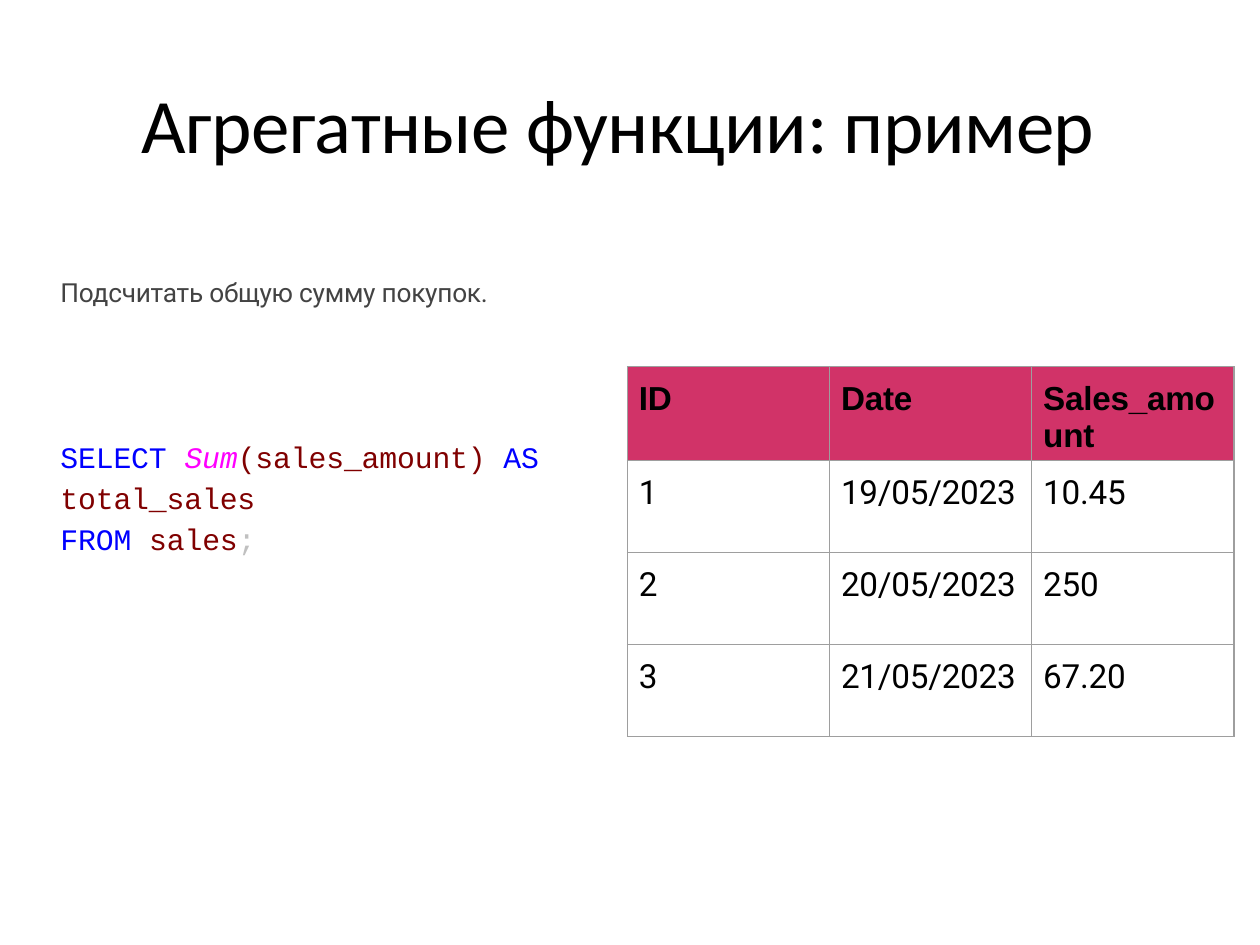
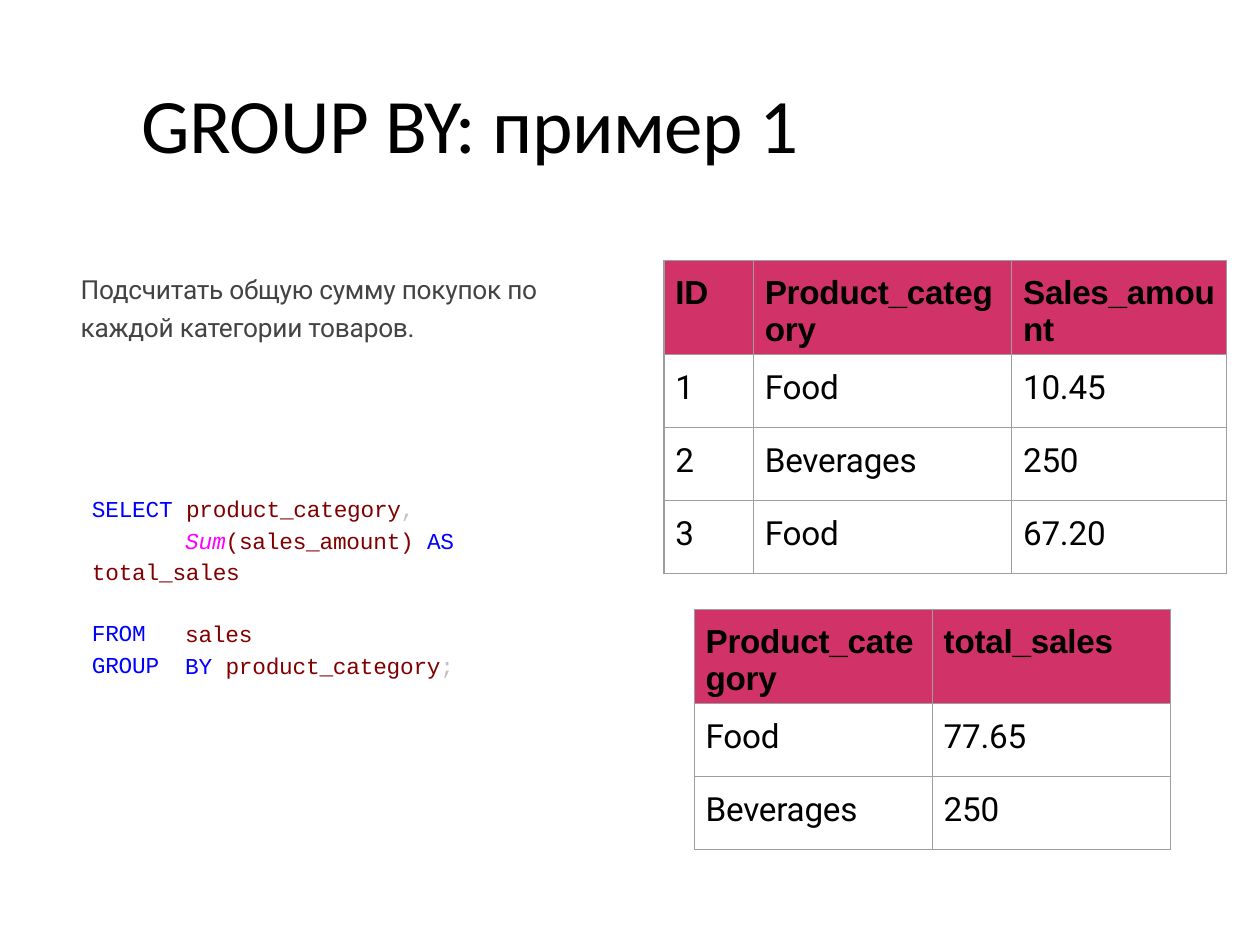
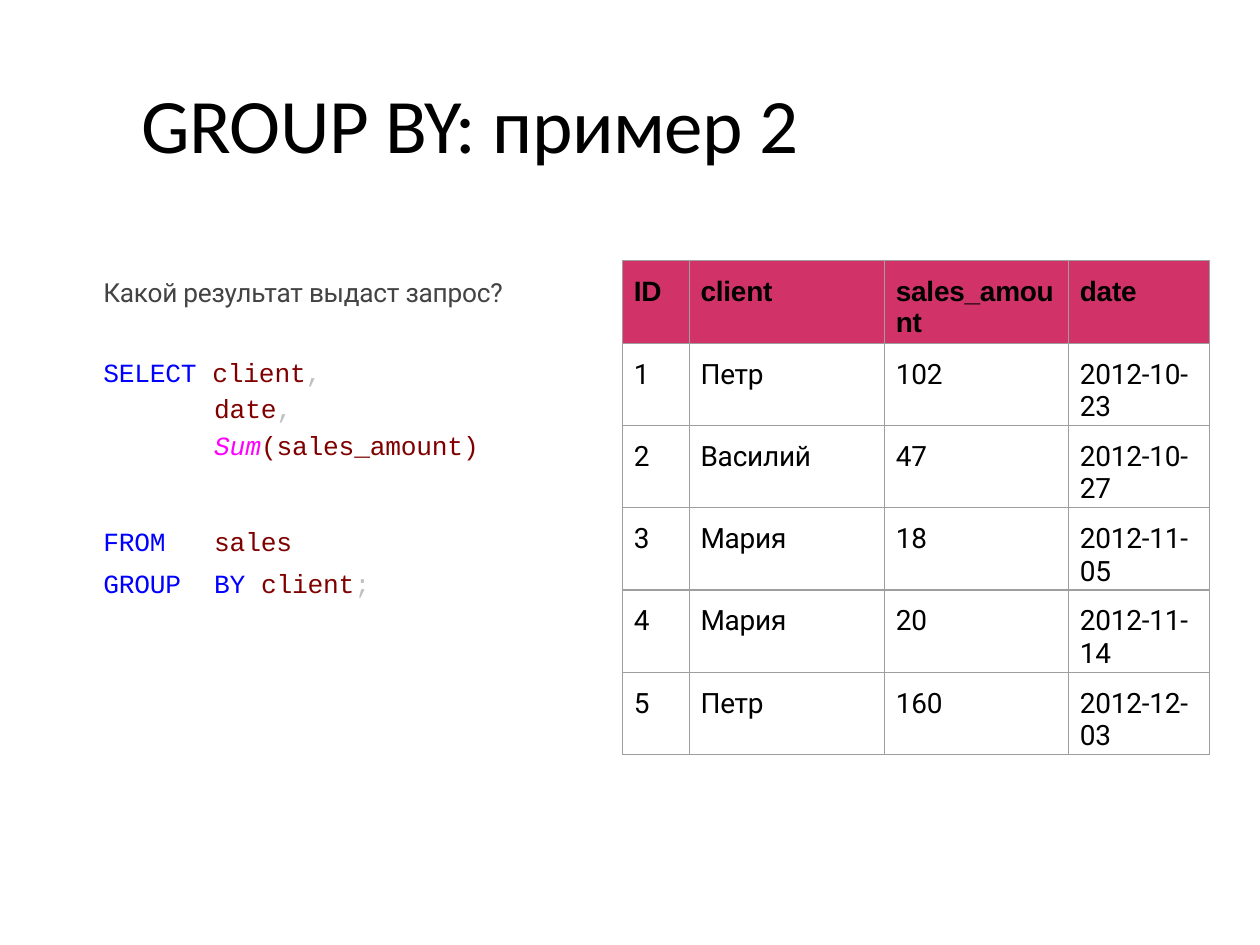
from pptx import Presentation
from pptx.dml.color import RGBColor
from pptx.enum.text import MSO_ANCHOR, MSO_AUTO_SIZE, PP_ALIGN
from pptx.oxml import parse_xml
from pptx.oxml.ns import nsdecls
from pptx.util import Emu, Inches, Pt

LEFT, MID, FIT = PP_ALIGN.LEFT, MSO_ANCHOR.MIDDLE, MSO_AUTO_SIZE.SHAPE_TO_FIT_TEXT
TITLE_ONLY = 5
COLS, ROWS = 100, 75
EDGE, HEAD = "9E9E9E", "D13368"


def ink(code):
    return RGBColor.from_string(code)


def look(font, color, gap=-0.1, **more):
    return {"name": font, "color": color, "gap": gap, **more}


# Text styles
TITLE = look("Calibri", "000000", -0.3, size=Pt(44))
NOTE = look("Roboto", "434343", -0.15)
KEY = look("Courier New", "0000FF")
FUNC = look("Courier New", "FF00FF", italic=True)
NAME = look("Courier New", "800000")
MARK = look("Courier New", "C0C0C0")
TOP = look("Arial", "000000", bold=True)
BODY = look("Roboto", "000000", bold=False)


class Deck:
    def __init__(self):
        self.prs = Presentation()
        self.prs.slide_width, self.prs.slide_height = Inches(10), Inches(7.5)
        self.slide = None

    def x(self, cols):
        return Emu(round(self.prs.slide_width * cols / COLS))

    def y(self, rows):
        return Emu(round(self.prs.slide_height * rows / ROWS))

    def box(self, left, top, wide, high):
        return self.x(left), self.y(top), self.x(wide), self.y(high)

    def frame(self, frame, top):
        form = {"margin_left": 0, "margin_top": Inches(top), "margin_right": 0,
                "margin_bottom": 0, "word_wrap": True}
        for key, val in form.items():
            setattr(frame, key, val)

    def para(self, para, runs, size=None, pad=0.01, first=0, before=1, line=None):
        form = {"alignment": LEFT, "space_before": Pt(before), "line_spacing": line}
        for key, val in form.items():
            setattr(para, key, val)
        props = para._p.get_or_add_pPr()
        props.set("marL", str(Inches(pad)))
        props.set("indent", str(Inches(first)))
        for style, text in runs:
            run = para.add_run()
            run.text = text
            form = dict(style)
            run.font.color.rgb = ink(form.pop("color"))
            run._r.get_or_add_rPr().set("spc", str(round(form.pop("gap") * 100)))
            if size:
                form["size"] = Pt(size)
            for key, val in form.items():
                setattr(run.font, key, val)

    def page(self, title):
        self.slide = self.prs.slides.add_slide(self.prs.slide_layouts[TITLE_ONLY])
        head = self.slide.shapes.title
        head.left, head.top, head.width, head.height = self.box(6.9, 4, 86.2, 9.4)
        frame = head.text_frame
        self.frame(frame, 0.2)
        frame.vertical_anchor, frame.auto_size = MID, FIT
        self.para(frame.paragraphs[0], [(TITLE, title)], pad=0.43)

    def text(self, area, size, paras, top=0.01):
        """Each item of paras is a list of runs and a dict of paragraph options."""
        frame = self.slide.shapes.add_textbox(*self.box(*area)).text_frame
        self.frame(frame, top)
        frame.auto_size = FIT
        for i, (runs, form) in enumerate(paras):
            para = frame.add_paragraph() if i else frame.paragraphs[0]
            self.para(para, runs, size, **form)

    def table(self, left, top, cols, rows, data, size=19, inset=0.11):
        area = self.box(left, top, sum(cols), sum(rows))
        grid = self.slide.shapes.add_table(len(rows), len(cols), *area).table
        grid.first_row = grid.horz_banding = False
        for col, wide in zip(grid.columns, cols):
            col.width = self.x(wide)
        for r, (row, high) in enumerate(zip(grid.rows, rows)):
            row.height = self.y(high)
            for cell, text in zip(row.cells, data[r]):
                self.cell(cell, text, r == 0, size, inset)

    def cell(self, cell, text, head, size, inset):
        cell.margin_left = cell.margin_right = cell.margin_bottom = 0
        cell.margin_top = Inches(inset)
        self.para(cell.text_frame.paragraphs[0], [(TOP if head else BODY, text)],
                  size, pad=0.09, before=6.2)
        props = cell._tc.get_or_add_tcPr()
        for side in "LRTB":
            props.append(parse_xml(
                f'<a:ln{side} {nsdecls("a")} w="{Pt(0.75)}"><a:solidFill>'
                f'<a:srgbClr val="{EDGE}"/></a:solidFill></a:ln{side}>'))
        if head:
            cell.fill.solid()
            cell.fill.fore_color.rgb = ink(HEAD)
        else:
            cell.fill.background()


def total(deck):
    deck.page("Агрегатные функции: пример")
    deck.text((4.7, 21.8, 34.8, 2.7), 15,
              [([(NOTE, "Подсчитать общую сумму покупок.")], {})])
    deck.text((4.7, 34.3, 38.5, 10), 17, [
        ([(KEY, "SELECT "), (FUNC, "Sum"), (NAME, "(sales_amount) "), (KEY, "AS "),
          (NAME, "total_sales")], {"line": 1.15}),
        ([(KEY, "FROM "), (NAME, "sales"), (MARK, ";")], {"before": 3})])
    deck.table(49.8, 29.1, [16.05] * 3, [7.3] * 4, [
        ("ID", "Date", "Sales_amount"),
        ("1", "19/05/2023", "10.45"),
        ("2", "20/05/2023", "250"),
        ("3", "21/05/2023", "67.20")])


def group(deck):
    deck.page("GROUP BY: пример 1")
    deck.text((6.3, 21.1, 37.1, 6.2), 15, [
        ([(NOTE, "Подсчитать общую сумму покупок по каждой категории товаров.")],
         {"line": 1.2})])
    deck.table(52.7, 20.7, [7.1, 20.5, 17.05], [6.4] + [5.8] * 3, [
        ("ID", "Product_category", "Sales_amount"),
        ("1", "Food", "10.45"),
        ("2", "Beverages", "250"),
        ("3", "Food", "67.20")])
    # Query
    deck.text((7.2, 38.8, 29.1, 7.7), 13, [
        ([(KEY, "SELECT "), (NAME, "product_category"), (MARK, ",")], {"before": 3.3}),
        ([(FUNC, "Sum"), (NAME, "(sales_amount) "), (KEY, "AS "),
          (NAME, "total_sales")], {"first": 0.74, "before": 0, "line": 1.15})], 0.05)
    deck.text((7.2, 48.7, 5.7, 5.2), 13, [([(KEY, "FROM GROUP")], {"line": 1.15})])
    deck.text((14.6, 48.7, 21.6, 5.1), 13, [
        ([(NAME, "sales")], {"before": 3.3}),
        ([(KEY, "BY "), (NAME, "product_category"), (MARK, ";")],
         {"before": 2.4})], 0.05)
    # Result
    deck.table(55.1, 48.4, [18.9] * 2, [5.8] * 3, [
        ("Product_category", "total_sales"),
        ("Food", "77.65"),
        ("Beverages", "250")])


def client(deck):
    deck.page("GROUP BY: пример 2")
    shift = {"pad": 0.89, "before": 2.7}
    deck.text((8.1, 21.8, 32.5, 15), 15, [
        ([(NOTE, "Какой результат выдаст запрос?")], {}),
        ([(KEY, "SELECT "), (NAME, "client"), (MARK, ",")], {"before": 28}),
        ([(NAME, "date"), (MARK, ",")], shift),
        ([(FUNC, "Sum"), (NAME, "(sales_amount)")], shift)])
    deck.text((8.1, 40.8, 6.5, 6.8), 15, [([(KEY, "FROM GROUP")], {"line": 1.32})])
    deck.text((16.9, 40.8, 12.8, 6.8), 15, [
        ([(NAME, "sales")], {"before": 6.7}),
        ([(KEY, "BY "), (NAME, "client"), (MARK, ";")], {"before": 5.7})], 0.09)
    deck.table(49.4, 20.7, [5.3, 15.5, 14.6, 11.2], [6.4, 5.6, 5.6] + [6.3] * 3, [
        ("ID", "client", "sales_amount", "date"),
        ("1", "Петр", "102", "2012-10-23"),
        ("2", "Василий", "47", "2012-10-27"),
        ("3", "Мария", "18", "2012-11-05"),
        ("4", "Мария", "20", "2012-11-14"),
        ("5", "Петр", "160", "2012-12-03")], 16, 0.12)


def main():
    deck = Deck()
    for build in (total, group, client):
        build(deck)
    deck.prs.save("out.pptx")


if __name__ == "__main__":
    main()
